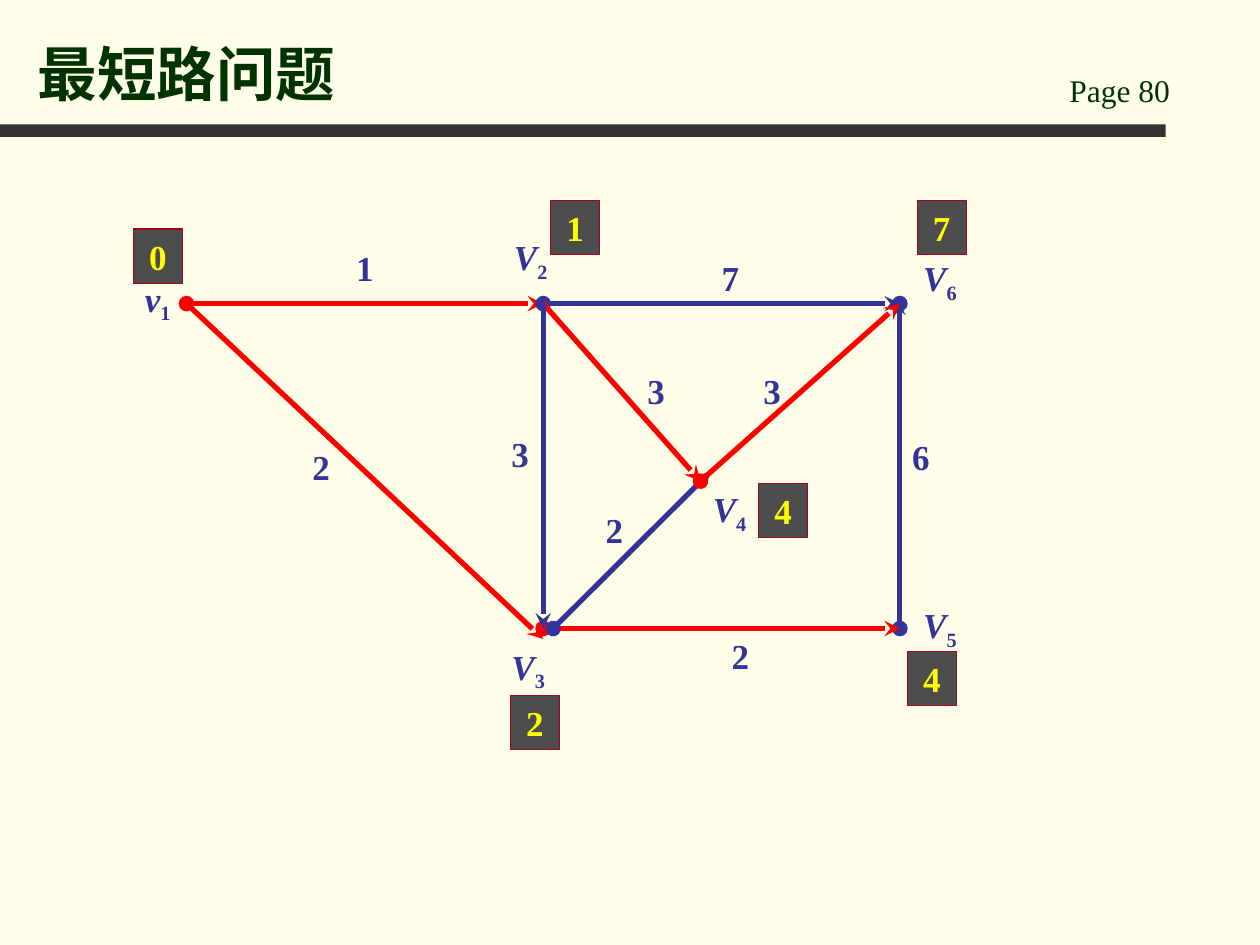
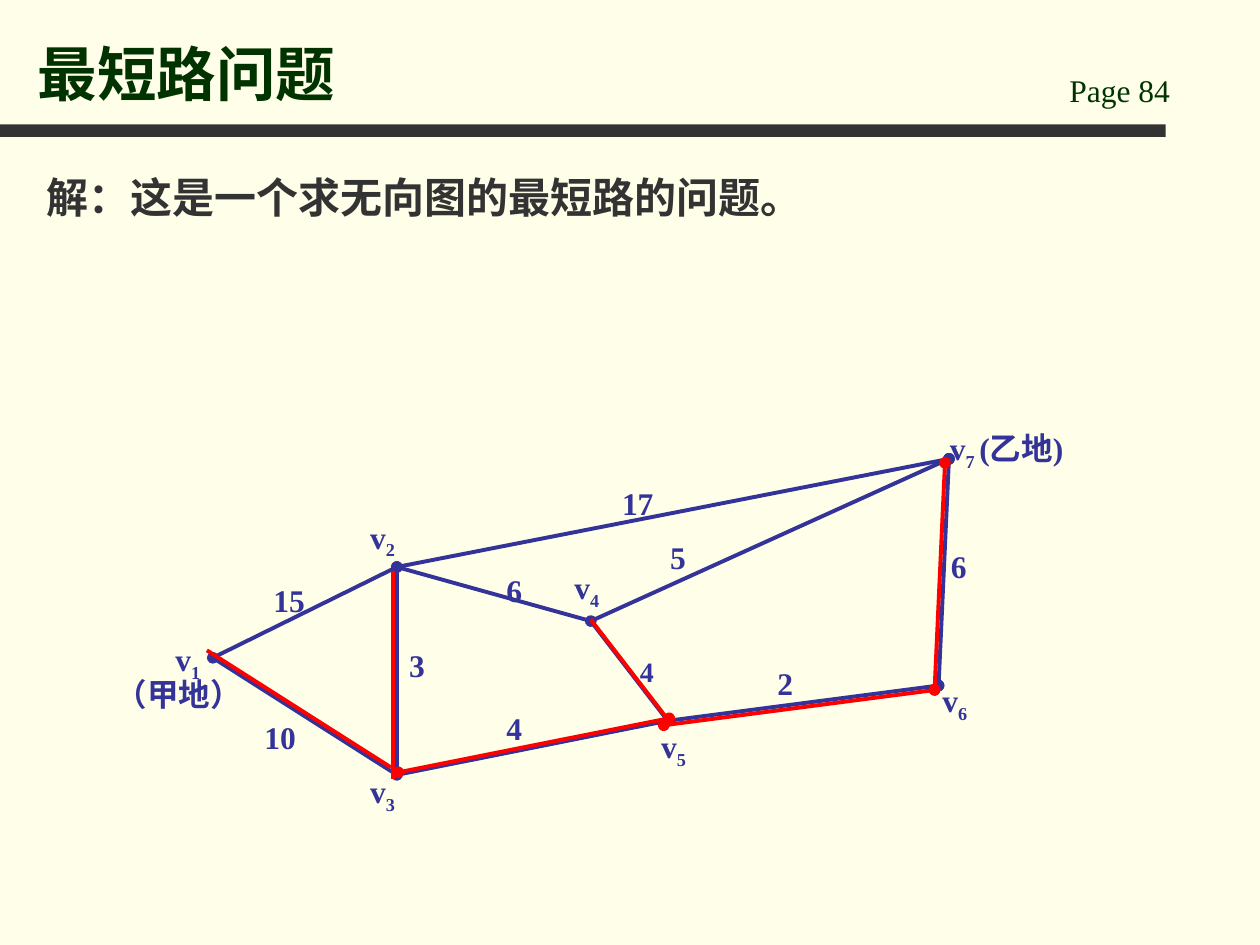
from dataclasses import dataclass

from lxml.etree import SubElement
from pptx import Presentation
from pptx.dml.color import RGBColor
from pptx.enum.shapes import MSO_CONNECTOR, MSO_SHAPE
from pptx.enum.text import MSO_ANCHOR, MSO_AUTO_SIZE, PP_ALIGN
from pptx.oxml.ns import qn
from pptx.util import Cm, Pt


@dataclass(frozen=True)
class Theme:
    font: str = "Times New Roman"
    paper: str = "FFFFE9"
    heading: str = "003300"
    dark: str = "333333"
    graph: str = "333399"
    route: str = "FF0000"
    tile: str = "4D4D4D"
    tile_edge: str = "A50021"
    distance: str = "FFFF00"
    title_size: float = 34
    body_size: float = 24
    node_size: float = 20
    label_size: float = 18
    small_size: float = 16


THEME = Theme()
TITLE = "最短路问题"


def rgb(code):
    return RGBColor.from_string(code)


# ---- Text ----
def write(paragraph, *pieces, size=THEME.label_size, color=THEME.graph,
          bold=True, align=PP_ALIGN.LEFT, spacing=None, before=0, indent=0):
    """Write pieces: plain strings, or (string, style) with style 'sub' or 'italic'."""
    paragraph.alignment = align
    paragraph.space_before = Pt(before)
    if spacing:
        paragraph.line_spacing = spacing
    properties = paragraph._p.get_or_add_pPr()
    properties.set("marL", str(Cm(indent)))
    properties.set("indent", "0")
    for piece in pieces:
        text, style = (piece, None) if isinstance(piece, str) else piece
        run = paragraph.add_run()
        run.text = text
        run.font.name = THEME.font
        run.font.size = Pt(size)
        run.font.bold = bold
        run.font.italic = style == "italic"
        run.font.color.rgb = rgb(color)
        if style == "sub":
            run.font._element.set("baseline", "-25000")


def text_area(slide, left, top, width, height):
    area = slide.shapes.add_textbox(Cm(left), Cm(top), Cm(width), Cm(height))
    area.text_frame.word_wrap = True
    return area.text_frame


def label(slide, position, *pieces, width=2.16, height=1.02, **style):
    frame = text_area(slide, *position, width, height)
    write(frame.paragraphs[0], *pieces, **style)


def fill_placeholder(holder, text, box, anchor, **style):
    holder.left, holder.top, holder.width, holder.height = map(Cm, box)
    frame = holder.text_frame
    frame.auto_size = MSO_AUTO_SIZE.NONE
    frame.vertical_anchor = anchor
    write(frame.paragraphs[0], text, **style)
    return frame.paragraphs[0]


# ---- Graph parts ----
def rectangle(slide, box, fill, edge=None):
    shape = slide.shapes.add_shape(MSO_SHAPE.RECTANGLE, *map(Cm, box))
    shape.shadow.inherit = False
    shape.fill.solid()
    shape.fill.fore_color.rgb = rgb(fill)
    if edge:
        shape.line.color.rgb = rgb(edge)
        shape.line.width = Pt(0.75)
    else:
        shape.line.fill.background()
    return shape


def edge(slide, start, end, color=THEME.graph, width=2.25, head=None, tail=None):
    connector = slide.shapes.add_connector(
        MSO_CONNECTOR.STRAIGHT, *map(Cm, (*start, *end)))
    connector.line.color.rgb = rgb(color)
    connector.line.width = Pt(width)
    line = connector.line._get_or_add_ln()
    for tag, kind in (("a:headEnd", head), ("a:tailEnd", tail)):
        if kind:
            SubElement(line, qn(tag), type=kind)
    SubElement(connector._element.spPr, qn("a:effectLst"))


def distance_tile(slide, position, value):
    frame = rectangle(slide, (*position, 0.99, 1.09),
                      THEME.tile, THEME.tile_edge).text_frame
    frame.margin_left = frame.margin_right = 0
    frame.vertical_anchor = MSO_ANCHOR.MIDDLE
    write(frame.paragraphs[0], value, size=THEME.node_size,
          color=THEME.distance, align=PP_ALIGN.CENTER)


# ---- Shared frame of both slides ----
def start_slide(deck, layout, page):
    slide = deck.slides.add_slide(deck.slide_layouts[layout])
    rectangle(slide, (0, 2.51, 23.5, 0.25), THEME.dark)
    label(slide, (21.31, 1.3), f"Page {page}", width=3.61,
          color=THEME.heading, bold=False)
    fill_placeholder(slide.shapes.title, TITLE, (0.51, 0.33, 20.4, 1.98),
                     MSO_ANCHOR.BOTTOM, size=THEME.title_size, color=THEME.heading)
    return slide


# ---- Directed graph with shortest distances ----
def directed_graph(deck):
    slide = start_slide(deck, 5, 80)
    v1, v2, v3 = (3.76, 6.12), (10.95, 6.12), (10.95, 12.67)
    v4, v5, v6 = (14.12, 9.7), (18.14, 12.67), (18.14, 6.12)
    blue, red = THEME.graph, THEME.route
    arcs = [
        (v1, v2, red, 3, "oval", "stealth"),
        (v2, v6, blue, 3, "oval", "stealth"),
        (v6, v5, blue, 3, "oval", "oval"),
        (v6, v5, blue, 2.25, "stealth", None),
        (v3, v5, red, 3, "oval", "stealth"),
        (v2, v4, red, 3, None, "stealth"),
        ((11.15, 12.67), (14.33, 9.5), blue, 3, "oval", "stealth"),
        (v4, v6, red, 3, "oval", "stealth"),
        (v2, v3, blue, 3, None, "stealth"),
        (v1, (10.95, 12.88), red, 3, None, "stealth"),
    ]
    for arc in arcs:
        edge(slide, *arc)

    names = [("v", "1", (2.67, 5.46)), ("V", "2", (10.11, 4.62)),
             ("V", "3", (10.06, 12.88)), ("V", "4", (14.12, 9.7)),
             ("V", "6", (18.36, 5.05)), ("V", "5", (18.36, 12.04))]
    for letter, number, position in names:
        label(slide, position, (letter, "italic"), (number, "sub"),
              width=3.2, height=2.13, size=THEME.node_size)

    weights = [("3", (10.06, 8.59)), ("2", (11.96, 10.13)), ("2", (6.05, 8.86)),
               ("7", (14.3, 5.05)), ("6", (18.14, 8.66)), ("2", (14.5, 12.67)),
               ("1", (6.93, 4.85)), ("3", (12.8, 7.32)), ("3", (15.14, 7.32))]
    for weight, position in weights:
        label(slide, position, weight, height=2.13, size=THEME.node_size)

    distances = [("0", (2.69, 4.62)), ("2", (10.29, 14.02)), ("4", (18.29, 13.13)),
                 ("7", (18.49, 4.04)), ("1", (11.1, 4.04)), ("4", (15.29, 9.75))]
    for distance, position in distances:
        distance_tile(slide, position, distance)


# ---- Undirected graph with the solution ----
def undirected_graph(deck):
    slide = start_slide(deck, 1, 84)
    statement = fill_placeholder(
        slide.placeholders[1], "解：这是一个求无向图的最短路的问题。",
        (0.69, 3.12, 22.61, 1.6), MSO_ANCHOR.TOP, size=THEME.body_size,
        color=THEME.dark, spacing=1.2, before=3.6)
    SubElement(statement._p.get_or_add_pPr(), qn("a:buNone"))

    origin = text_area(slide, 1.9, 13.06, 3.4, 1.4)
    stacked = dict(align=PP_ALIGN.CENTER, spacing=0.5, before=9)
    write(origin.paragraphs[0], "v", ("1", "sub"), indent=0.37, **stacked)
    write(origin.add_paragraph(), "（甲地）", **stacked)

    v1, v2, v3, v4 = (4.29, 13.26), (8, 11.43), (8, 15.62), (11.91, 12.52)
    v5, v6, v7 = (13.46, 14.53), (18.92, 13.82), (19.13, 9.25)
    roads = [(v1, v2, "oval"), (v1, v3, None), (v2, v3, None), (v3, v5, "oval"),
             (v2, v4, None), (v4, v5, None), (v2, v7, "oval"), (v4, v7, "oval"),
             (v5, v6, "oval"), (v7, v6, "oval")]
    for start, end, dot in roads:
        edge(slide, start, end, head=dot, tail=dot)

    weights = [("15", (5.26, 11.58)), ("17", (12.29, 9.63)), ("6", (18.92, 10.9)),
               ("2", (15.42, 13.26)), ("4", (9.96, 14.17)), ("3", (8, 12.9)),
               ("10", (5.08, 14.35)), ("6", (9.96, 11.38)), ("5", (13.26, 10.72))]
    for weight, position in weights:
        label(slide, position, weight, width=1.55)
    label(slide, (12.65, 13.08), "4", width=1.55, size=THEME.small_size)

    names = [("2", (7.21, 10.31)), ("3", (7.21, 15.44)), ("4", (11.33, 11.33)),
             ("5", (13.08, 14.53)), ("6", (18.75, 13.61))]
    for number, position in names:
        label(slide, position, "v", (number, "sub"), width=1.55)
    label(slide, (18.9, 8.53), "v", ("7 ", "sub"), "(乙地)", width=3.99)

    # Chosen roads run slightly beside the black ones: start, end, shift, dot
    chosen = [(v1, v3, (-0.12, -0.15), None), (v2, v3, (-0.08, 0.08), None),
              (v3, v5, (0.03, -0.05), "oval"), (v4, v5, (0, -0.03), None),
              (v5, v6, (-0.08, 0.09), "oval"), (v7, v6, (-0.08, 0.08), "oval")]
    for start, end, (dx, dy), dot in chosen:
        edge(slide, (start[0] + dx, start[1] + dy), (end[0] + dx, end[1] + dy),
             THEME.route, head=dot, tail=dot)


def main():
    deck = Presentation()
    deck.slide_width, deck.slide_height = Cm(25.4), Cm(19.05)
    paper = deck.slide_master.background.fill
    paper.solid()
    paper.fore_color.rgb = rgb(THEME.paper)
    directed_graph(deck)
    undirected_graph(deck)
    deck.save("out.pptx")


if __name__ == "__main__":
    main()
